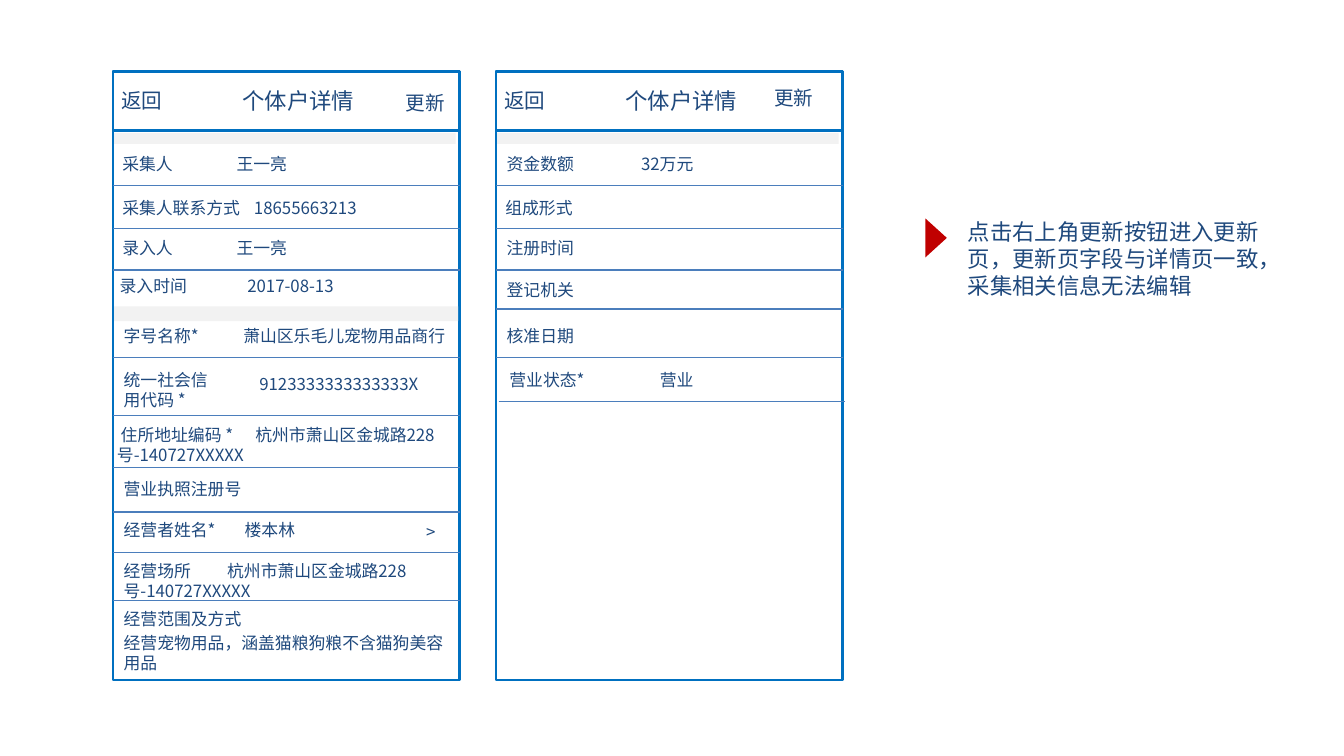
from dataclasses import dataclass

from lxml import etree
from pptx import Presentation
from pptx import util as u
from pptx.dml.color import RGBColor
from pptx.enum import shapes, text
from pptx.oxml import ns


@dataclass(frozen=True)
class Theme:
    font: str = "Noto Sans CJK SC"
    ink: str = "1F497D"
    frame: str = "0070C0"
    rule: str = "4B7EBC"
    band: str = "F2F2F2"
    marker: str = "C00000"
    paper: str = "FFFFFF"
    title: float = 12
    back: float = 11
    update: float = 10.5
    body: float = 9
    line_spacing: float = 1.2


@dataclass(frozen=True)
class Field:
    """One form row; dx is measured from the panel, tab from the text."""
    top: float
    wording: str
    dx: float = 0.08
    tab: float = 0
    lines: int = 1
    width: float = 2.42
    filled: bool = True


@dataclass(frozen=True)
class Panel:
    left: float
    update_dx: float
    update_top: float
    fields: tuple[Field, ...]
    rules: tuple[float, ...]
    last_rule_dx: float = 0


THEME = Theme()
PANEL_TOP, PANEL_WIDTH, PANEL_HEIGHT, HEADER_HEIGHT = 0.53, 2.58, 4.53, 0.44
LINE_HEIGHT = 0.15
MIDDLE = text.MSO_ANCHOR.MIDDLE
LEFT, CENTER = text.PP_ALIGN.LEFT, text.PP_ALIGN.CENTER

# Widescreen page, 16 by 9
presentation = Presentation()
presentation.slide_width = u.Inches(10)
presentation.slide_height = u.Inches(10 * 9 / 16)
slide = presentation.slides.add_slide(presentation.slide_layouts[6])


def add_block(left: float, top: float, width: float, height: float,
              fill: str | None = None, line: str | None = None,
              kind=shapes.MSO_SHAPE.RECTANGLE):
    shape = slide.shapes.add_shape(kind, *map(u.Inches, (left, top, width, height)))
    shape.shadow.inherit = False
    if fill:
        shape.fill.solid()
        shape.fill.fore_color.rgb = RGBColor.from_string(fill)
    else:
        shape.fill.background()
    if line:
        shape.line.color.rgb = RGBColor.from_string(line)
        shape.line.width = u.Pt(1.5)
    else:
        shape.line.fill.background()
    return shape


def add_text(left: float, top: float, width: float, height: float, wording: str,
             size: float, align=LEFT, tab: float = 0, filled: bool = True) -> None:
    if filled:
        box = add_block(left, top, width, height, THEME.paper)
    else:
        box = slide.shapes.add_textbox(*map(u.Inches, (left, top, width, height)))
    frame = box.text_frame
    layout = dict(word_wrap=True, vertical_anchor=MIDDLE, margin_left=0,
                  margin_right=0, margin_top=0, margin_bottom=0)
    for name, value in layout.items():
        setattr(frame, name, value)
    frame.text = wording
    for paragraph in frame.paragraphs:
        paragraph.alignment = align
        paragraph.line_spacing = u.Pt(size * THEME.line_spacing)
        if tab:
            stops = etree.SubElement(paragraph._p.get_or_add_pPr(), ns.qn("a:tabLst"))
            etree.SubElement(stops, ns.qn("a:tab"), pos=str(u.Inches(tab)), algn="l")
        for run in paragraph.runs:
            for name, value in dict(name=THEME.font, size=u.Pt(size)).items():
                setattr(run.font, name, value)
            run.font.color.rgb = RGBColor.from_string(THEME.ink)
            etree.SubElement(run.font._element, ns.qn("a:ea"), typeface=THEME.font)


def add_rule(left: float, top: float) -> None:
    ends = map(u.Inches, (left, top, left + PANEL_WIDTH, top))
    rule = slide.shapes.add_connector(shapes.MSO_CONNECTOR.STRAIGHT, *ends)
    rule.line.color.rgb = RGBColor.from_string(THEME.rule)
    rule.line.width = u.Pt(0.75)
    etree.SubElement(rule._element.spPr, ns.qn("a:effectLst"))


def add_panel(panel: Panel) -> None:
    left = panel.left
    # Header and frame
    add_block(left, PANEL_TOP, PANEL_WIDTH, HEADER_HEIGHT, THEME.paper, THEME.frame)
    add_text(left + 0.8, 0.6, 1.16, 0.3, "个体户详情", THEME.title, CENTER, filled=False)
    add_block(left, PANEL_TOP, PANEL_WIDTH, PANEL_HEIGHT, line=THEME.frame)
    add_text(left + 0.03, 0.66, 0.37, 0.17, "返回", THEME.back, CENTER)
    add_text(left + panel.update_dx, panel.update_top, 0.45, 0.18, "更新",
             THEME.update, filled=False)
    add_block(left + 0.01, 0.99, 2.54, 0.08, THEME.band)
    # Form rows
    for field in panel.fields:
        add_text(left + field.dx, field.top, field.width, LINE_HEIGHT * field.lines,
                 field.wording, THEME.body, tab=field.tab, filled=field.filled)
    for top in panel.rules:
        add_rule(left + (panel.last_rule_dx if top == panel.rules[-1] else 0), top)


PANELS = (
    Panel(0.84, 2.18, 0.67, (
        Field(1.14, "采集人\t王一亮", 0.07, 0.85),
        Field(1.47, "采集人联系方式\t18655663213", 0.07, 0.98),
        Field(1.77, "录入人\t王一亮", 0.07, 0.85),
        Field(2.05, "录入时间\t2017-08-13", 0.05, 0.95),
        Field(2.42, "字号名称*\t萧山区乐毛儿宠物用品商行", tab=0.89),
        Field(2.75, "统一社会信\n用代码 *", lines=2),
        Field(2.78, "9123333333333333X", 1.09, width=1.3, filled=False),
        Field(3.16, " 住所地址编码 *\t杭州市萧山区金城路228号-140727XXXXX", 0.03, 1.03, 2),
        Field(3.56, "营业执照注册号"),
        Field(3.87, "经营者姓名*\t楼本林", tab=0.9),
        Field(3.88, ">", 2.33, width=0.17),
        Field(4.17, "经营场所\t杭州市萧山区金城路228号-140727XXXXX", tab=0.77, lines=2),
        Field(4.53, "经营范围及方式"),
        Field(4.71, "经营宠物用品，涵盖猫粮狗粮不含猫狗美容用品", lines=2, width=2.38),
    ), (1.38, 1.7, 2.01, 2.66, 3.09, 3.48, 3.81, 4.11, 4.47)),
    Panel(3.69, 2.07, 0.64, (
        Field(1.14, "资金数额\t32万元", tab=1),
        Field(1.47, "组成形式", 0.07),
        Field(1.77, "注册时间"),
        Field(2.08, "登记机关"),
        Field(2.42, "核准日期"),
        Field(2.75, "营业状态*\t营业", 0.1, 1.12),
    ), (1.38, 1.7, 2.01, 2.3, 2.66, 2.99), 0.02),
)

for panel in PANELS:
    add_panel(panel)

# Band between the collection rows and the business rows
add_block(0.85, 2.28, 2.56, 0.11, THEME.band)

# Note with its marker
add_text(7.2, 1.62, 2.28, 0.61,
         "点击右上角更新按钮进入更新页，更新页字段与详情页一致，采集相关信息无法编辑",
         THEME.title)
marker = add_block(6.82, 1.69, 0.29, 0.16, THEME.marker,
                   kind=shapes.MSO_SHAPE.ISOSCELES_TRIANGLE)
marker.rotation = 90

presentation.save("out.pptx")
